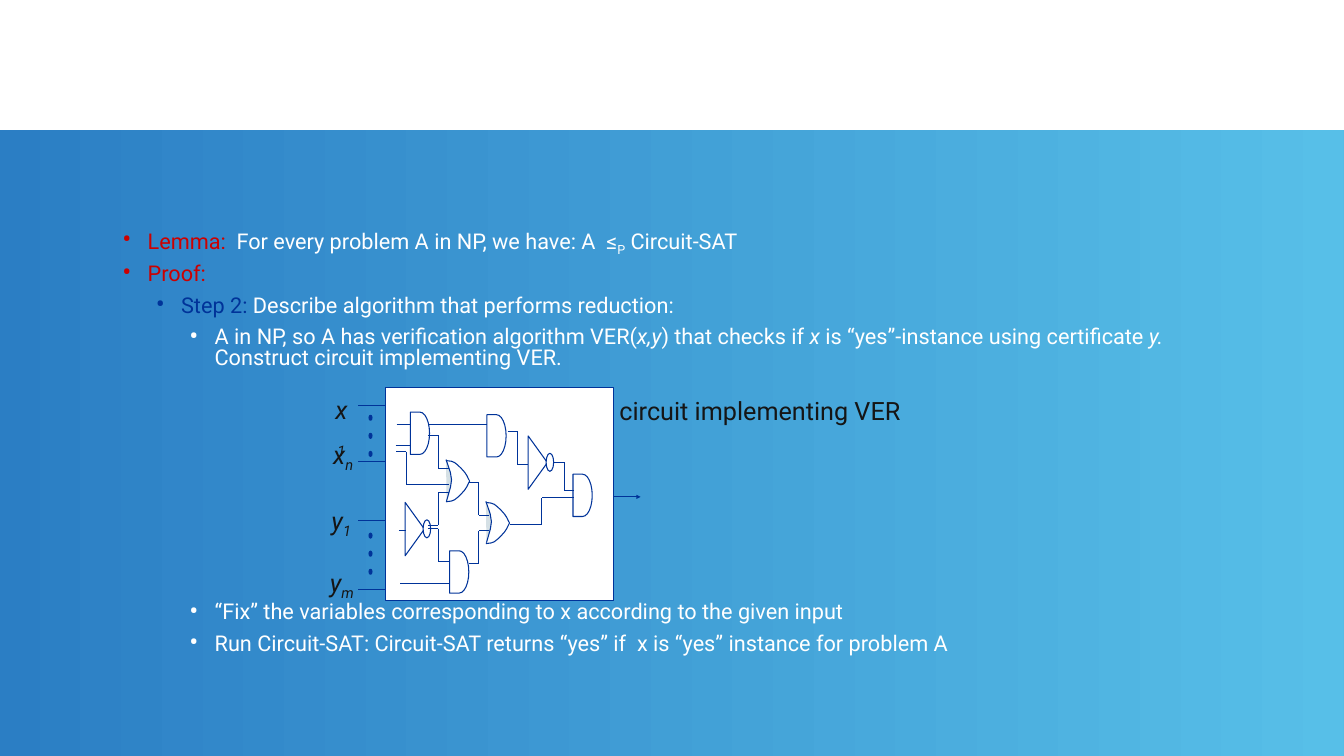
import itertools
from dataclasses import dataclass

import pptx
import pptx.dml.color
import pptx.enum.shapes
import pptx.enum.text
import pptx.oxml.ns
import pptx.util
from lxml import etree

Cm = pptx.util.Cm
Pt = pptx.util.Pt
Rgb = pptx.dml.color.RGBColor.from_string
Preset = pptx.enum.shapes.MSO_SHAPE
qn = pptx.oxml.ns.qn


@dataclass(frozen=True)
class Theme:
    font: str = "Roboto"
    body_size: float = 31
    label_size: float = 36
    line_width: float = 1.5
    white: str = "FFFFFF"
    ink: str = "151515"
    red: str = "CC0000"
    navy: str = "003399"
    shade: str = "D5E0E5"
    band: tuple = ("2B7EC4", "57BFE8")


THEME = Theme()
SUBSCRIPT = "-25000"


def apply(target, values):
    for name, value in values.items():
        setattr(target, name, value)


# Basic parts

def paint(shape, fill, line=THEME.navy):
    shape.shadow.inherit = False
    shape.fill.solid()
    shape.fill.fore_color.rgb = Rgb(fill)
    if line:
        shape.line.color.rgb = Rgb(line)
        shape.line.width = Pt(THEME.line_width)
    else:
        shape.line.fill.background()


def add_preset(page, preset, box, fill=THEME.white, turn=0):
    shape = page.shapes.add_shape(preset, *map(Cm, box))
    paint(shape, fill)
    shape.rotation = turn
    return shape


def add_outline(page, origin, points, fill, line=THEME.navy, close=False):
    places = [(Cm(origin[0] + x), Cm(origin[1] + y)) for x, y in points]
    builder = page.shapes.build_freeform(*places[0])
    builder.add_line_segments(places[1:], close=close)
    paint(builder.convert_to_shape(), fill, line)


def add_wire(page, origin, points, arrow=False):
    """Draw one straight connector for each leg of the route."""
    places = [(Cm(origin[0] + x), Cm(origin[1] + y)) for x, y in points]
    for start, end in itertools.pairwise(places):
        wire = page.shapes.add_connector(
            pptx.enum.shapes.MSO_CONNECTOR.STRAIGHT, *start, *end)
        wire.line.color.rgb = Rgb(THEME.navy)
        wire.line.width = Pt(THEME.line_width)
        if arrow:
            head = etree.SubElement(wire.line._get_or_add_ln(), qn("a:tailEnd"))
            head.set("type", "triangle")
        etree.SubElement(wire._element.spPr, qn("a:effectLst"))


def add_span(para, text, size, color, italic=False, baseline=None):
    span = para.add_run()
    span.text = text
    apply(span.font, {"name": THEME.font, "size": Pt(size), "italic": italic})
    span.font.color.rgb = Rgb(color)
    if baseline:
        span._r.get_or_add_rPr().set("baseline", baseline)


def add_label(page, box, wrap, align, spans):
    frame = page.shapes.add_textbox(*map(Cm, box)).text_frame
    apply(frame, {"word_wrap": wrap,
                  "auto_size": pptx.enum.text.MSO_AUTO_SIZE.SHAPE_TO_FIT_TEXT})
    para = frame.paragraphs[0]
    para.alignment = align
    for text, italic, baseline in spans:
        add_span(para, text, THEME.label_size, THEME.ink, italic, baseline)


def bezier(points, steps=3):
    """Sample a chain of cubic curves that share their end points."""
    curve = [points[0]]
    for i in range(0, len(points) - 1, 3):
        for step in range(1, steps + 1):
            t = step / steps
            weights = ((1 - t) ** 3, 3 * t * (1 - t) ** 2, 3 * t * t * (1 - t), t ** 3)
            corners = points[i:i + 4]
            curve.append(tuple(sum(w * p[axis] for w, p in zip(weights, corners))
                               for axis in (0, 1)))
    return curve


# Gates, each placed from its top left corner

def add_and_gate(page, x, y):
    add_preset(page, Preset.FLOWCHART_DELAY, (x, y, 0.97, 2.13))


def add_not_gate(page, x, y):
    add_preset(page, Preset.ISOSCELES_TRIANGLE, (x, y, 2.69, 0.97), turn=90)
    add_preset(page, Preset.OVAL, (x + 1.5, y + 0.28, 0.91, 0.38), turn=90)


def add_or_gate(page, x, y):
    upper = bezier([(0, 0.05), (0.08, 0.08), (0.28, 0.05), (0.43, 0.15), (0.58, 0.25),
                    (0.81, 0.48), (0.94, 0.64), (1.07, 0.79), (1.14, 1.02), (1.19, 1.09)])
    lower = [(px, 2.18 - py) for px, py in upper]
    body = [(1.14, 1.07), (0.08, 0.13), (0.08, 2.03), (1.04, 1.22)]
    back = bezier([(0, 0), (0.05, 0.18), (0.28, 0.66), (0.28, 1.02),
                   (0.28, 1.35), (0.08, 1.85), (0.03, 2.08)])
    for side in (upper, lower):
        add_outline(page, (x, y), side, THEME.white)
    add_outline(page, (x, y), body, THEME.white, line=None, close=True)
    add_outline(page, (x, y), back, THEME.shade)


# Regions

def add_background(page, box):
    band = page.shapes.add_shape(Preset.RECTANGLE, *map(Cm, box))
    band.shadow.inherit = False
    band.line.fill.background()
    band.fill.gradient()
    band.fill.gradient_angle = 0
    for stop, color, position in zip(band.fill.gradient_stops, THEME.band, (0, 1)):
        stop.color.rgb = Rgb(color)
        stop.position = position


def add_proof(page, box):
    white, red, navy = THEME.white, THEME.red, THEME.navy
    gap, diagram_gap = Pt(THEME.body_size / 2), Cm(11.76)
    # Level, space before, spans; wide gaps in the formula are em and en spaces
    lines = [
        (0, 0, [("Lemma: ", red), (" For every problem A in NP, we have: A  ≤", white),
                ("P", white, False, SUBSCRIPT), (" Circuit-SAT", white)]),
        (0, gap, [("Proof:", red)]),
        (1, gap, [("Step 2:", navy),
                  (" Describe algorithm that performs reduction:", white)]),
        (2, gap, [("A in NP, so A has verification algorithm VER(", white),
                  ("x,y", white, True), (") that checks if ", white), ("x", white, True),
                  (" is “yes”-instance using certificate ", white), ("y. ", white, True),
                  ("Construct circuit implementing VER.", white)]),
        (2, diagram_gap, [("“Fix” the variables corresponding to x according to "
                           "the given input", white)]),
        (2, gap, [("Run Circuit-SAT: Circuit-SAT returns “yes” if  x is “yes” "
                   "instance for problem A", white)]),
    ]
    frame = page.shapes.add_textbox(*map(Cm, box)).text_frame
    apply(frame, {"word_wrap": True, **{f"margin_{side}": Cm(0.15) for side in
                                        ("left", "top", "right", "bottom")}})
    for i, (level, before, spans) in enumerate(lines):
        para = frame.add_paragraph() if i else frame.paragraphs[0]
        props = para._p.get_or_add_pPr()
        props.set("marL", str(Cm(1.27 + 1.69 * level)))
        props.set("indent", str(Cm(-1.27)))
        for tag, name, value in (("a:buSzPct", "val", "123000"),
                                 ("a:buFont", "typeface", THEME.font),
                                 ("a:buChar", "char", "•")):
            etree.SubElement(props, qn(tag)).set(name, value)
        apply(para, {"level": level, "line_spacing": 0.8, "space_before": before})
        for text, color, *style in spans:
            add_span(para, text, THEME.body_size, color, *style)


def add_circuit(page, box):
    left, top, width, height = box
    add_preset(page, Preset.RECTANGLE, box)

    # Input labels, wires and dots
    for letter, index, x, y, span_width in (
            ("x", "1", -2.95, 0.23, 1.5), ("y", "1", -2.97, 5.79, 1.52),
            ("x", "n", -2.87, 2.49, 1.52), ("y", "m", -3.07, 8.94, 1.78)):
        add_label(page, (left + x, top + y, span_width, 1.8), False,
                  pptx.enum.text.PP_ALIGN.CENTER,
                  [(letter, True, None), (index, True, SUBSCRIPT)])
    for y in (0.89, 3.73, 6.68, 10.16):
        add_wire(page, (left, top), [(-1.35, y), (0, y)])
    for first, step in itertools.product((1.4, 7.34), range(3)):
        add_preset(page, Preset.OVAL,
                   (left - 0.81, top + first + 0.91 * step, 0.15, 0.25), THEME.navy)

    # Gates
    gates = {add_or_gate: [(3.07, 3.63), (5.08, 5.74)],
             add_and_gate: [(1.27, 1.24), (5.13, 1.37), (3.25, 8.23), (9.47, 4.37)],
             add_not_gate: [(6.35, 3.3), (0.15, 6.65)]}
    for add_gate, places in gates.items():
        for x, y in places:
            add_gate(page, left + x, top + y)

    # Wires between gates: stepped routes turn at a middle x
    for x1, y1, turn, x2, y2 in (
            (2.16, 2.41, 2.67, 3.2, 4.09), (0.56, 3.23, 1.07, 1.57, 4.88),
            (2.16, 6.93, 2.67, 3.2, 5.28), (2.16, 7.11, 2.67, 3.2, 8.79),
            (4.22, 4.78, 4.72, 5.26, 6.43), (4.22, 8.89, 4.72, 5.23, 7.21),
            (6.17, 2.24, 6.68, 7.19, 3.89), (8.51, 3.76, 9.02, 9.53, 5.18),
            (6.3, 6.88, 7.9, 9.53, 5.56)):
        add_wire(page, (left, top), [(x1, y1), (turn, y1), (turn, y2), (x2, y2)])
    for x1, x2, y in ((0.58, 1.3, 1.88), (0.53, 1.25, 2.91), (0.69, 1.07, 7.19),
                      (0.76, 3.2, 9.88), (2.18, 5.13, 1.88), (1.55, 3.23, 4.88)):
        add_wire(page, (left, top), [(x1, y), (x2, y)])

    # Output and caption
    add_wire(page, (left, top), [(width, 5.51), (width + 1.37, 5.51)], arrow=True)
    add_label(page, (left + width + 0.05, top + 0.25, 15.27, 1.8), True,
              pptx.enum.text.PP_ALIGN.LEFT, [("circuit implementing VER", False, None)])


def main():
    deck = pptx.Presentation()
    apply(deck, {"slide_width": Cm(67.74), "slide_height": Cm(38.1)})
    page = deck.slides.add_slide(deck.slide_layouts[6])
    add_background(page, (-0.05, 6.55, 67.77, 31.78))
    add_proof(page, (6.02, 11.46, 55.73, 23.67))
    add_circuit(page, (19.41, 19.53, 11.51, 10.72))
    deck.save("out.pptx")


if __name__ == "__main__":
    main()
